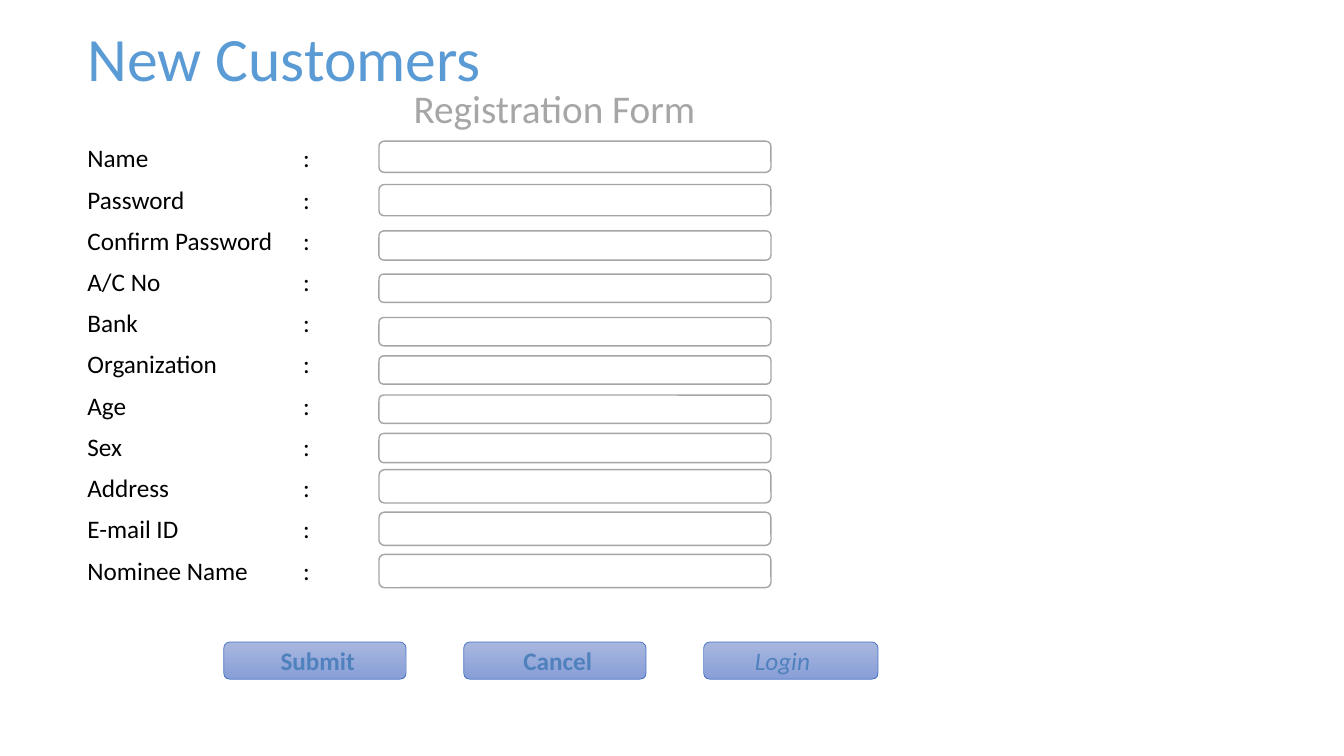
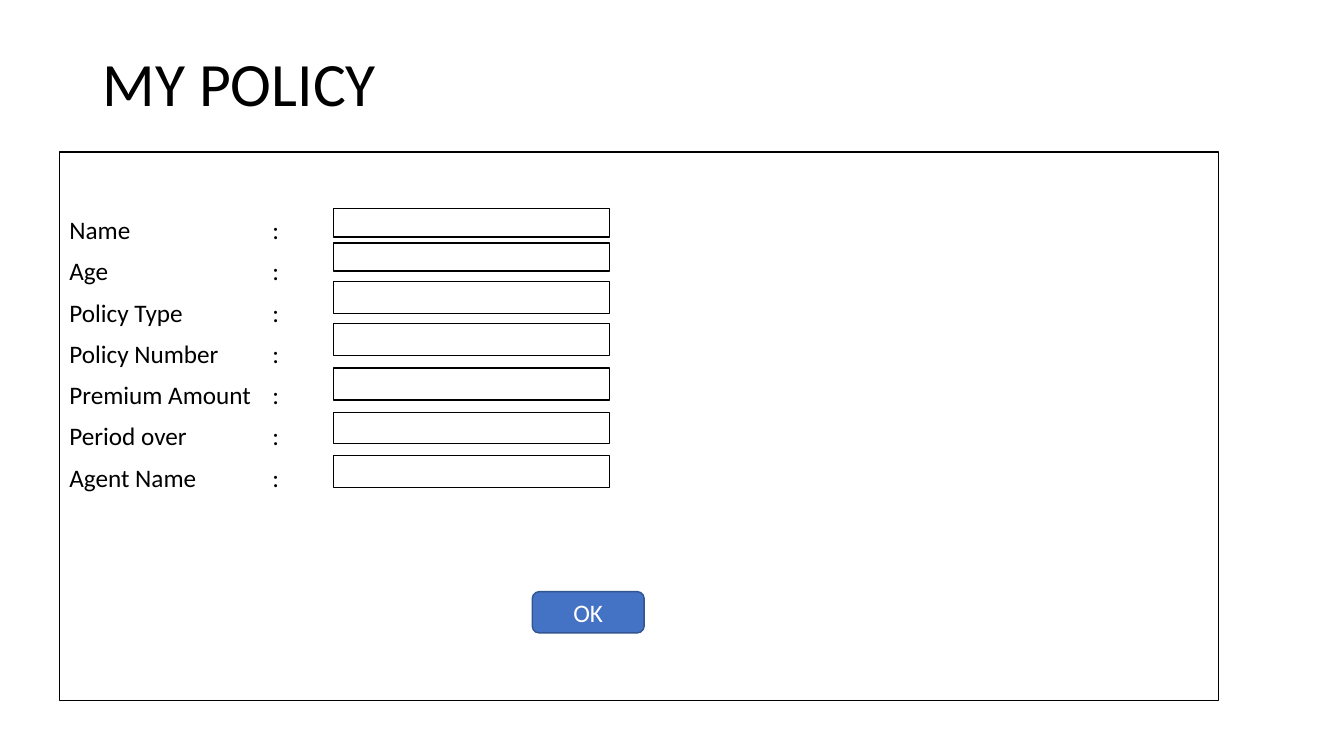
from lxml.etree import SubElement
from pptx import Presentation
from pptx.dml.color import RGBColor
from pptx.enum.shapes import MSO_SHAPE
from pptx.enum.text import MSO_ANCHOR, PP_ALIGN
from pptx.oxml.ns import qn
from pptx.util import Pt

COLORS = {
    "white": "FFFFFF", "black": "000000", "title": "5B9BD5", "heading": "A6A6A6",
    "field": "A5A5A5", "button_top": "A8B7DF", "button_bottom": "889ED7",
    "button_text": "4F81BD", "accent": "4472C4", "accent_dark": "325491",
}


def rgb(name):
    """Return the named colour."""
    return RGBColor.from_string(COLORS[name])


class FormDeck:
    """Shared form style and the slide being filled."""

    font_name = "Calibri"

    def __init__(self):
        """Start an empty widescreen presentation."""
        self.deck = Presentation()
        self.deck.slide_width, self.deck.slide_height = Pt(960), Pt(540)

    def add_slide(self):
        """Add a blank slide and make it current."""
        self.slide = self.deck.slides.add_slide(self.deck.slide_layouts[6])

    def style(self, paragraph, size, color, bold=False, italic=False):
        """Set the font of a whole paragraph."""
        font = paragraph.font
        font.name, font.size = self.font_name, Pt(size)
        font.bold, font.italic = bold, italic
        font.color.rgb = rgb(color)

    def text_box(self, left, top, width, height):
        """Add a wrapping text box and return its text frame."""
        frame = self.slide.shapes.add_textbox(
            Pt(left), Pt(top), Pt(width), Pt(height)).text_frame
        frame.word_wrap = True
        return frame

    def title(self, text, left, top, width, height, color):
        """Add the slide title."""
        frame = self.text_box(left, top, width, height)
        frame.vertical_anchor = MSO_ANCHOR.MIDDLE
        paragraph = frame.paragraphs[0]
        paragraph.text, paragraph.line_spacing = text, 0.9
        self.style(paragraph, 44, color)

    def box(self, left, top, width, height, line, fill="white", weight=1,
            kind=MSO_SHAPE.RECTANGLE):
        """Add a filled, outlined shape without a shadow."""
        shape = self.slide.shapes.add_shape(
            kind, Pt(left), Pt(top), Pt(width), Pt(height))
        shape.shadow.inherit = False
        shape.fill.solid()
        shape.fill.fore_color.rgb = rgb(fill)
        shape.line.color.rgb = rgb(line)
        shape.line.width = Pt(weight)
        return shape

    def heading(self, frame, text, indent):
        """Write an indented heading in the first paragraph."""
        paragraph = frame.paragraphs[0]
        paragraph.text, paragraph.line_spacing = text, 0.9
        paragraph._p.get_or_add_pPr().set("marL", str(Pt(indent)))
        self.style(paragraph, 28, "heading")

    def labels(self, frame, names, colon_at):
        """Write one label per line, colons lined up on a tab stop."""
        for name in names:
            first = frame.paragraphs[0]
            paragraph = frame.add_paragraph() if first.text else first
            paragraph.text = f"{name}\t:"
            paragraph.alignment = PP_ALIGN.LEFT
            paragraph.line_spacing, paragraph.space_before = 0.9, Pt(10)
            tabs = SubElement(paragraph._p.get_or_add_pPr(), qn("a:tabLst"))
            SubElement(tabs, qn("a:tab"), pos=str(Pt(colon_at)), algn="l")
            self.style(paragraph, 18, "black")

    def fields(self, rows, left, width, line, kind):
        """Add the entry fields, each given by its top and height."""
        for top, height in rows:
            self.box(left, top, width, height, line, kind=kind)

    def button(self, text, left, top, width, height, line="accent",
               fill="accent", color="button_text", weight=0.5, shift=0,
               gradient=False, bold=False, italic=False):
        """Add a rounded button; shift moves its caption sideways."""
        shape = self.box(left, top, width, height, line, fill, weight,
                         MSO_SHAPE.ROUNDED_RECTANGLE)
        if gradient:
            shape.fill.gradient()
            shape.fill.gradient_angle = 270
            for stop, name in zip(shape.fill.gradient_stops,
                                  ("button_top", "button_bottom")):
                stop.color.rgb = rgb(name)
        frame = shape.text_frame
        frame.margin_left, frame.margin_right = Pt(7.2 + shift), Pt(7.2 - shift)
        frame.vertical_anchor = MSO_ANCHOR.MIDDLE
        paragraph = frame.paragraphs[0]
        paragraph.text, paragraph.alignment = text, PP_ALIGN.CENTER
        self.style(paragraph, 18, color, bold, italic)


def registration(form):
    """Build the registration form for new customers."""
    rows = {
        "Name": (100.8, 22.3), "Password": (131.8, 22.3),
        "Confirm Password": (164.9, 20.9), "A/C No": (195.8, 20.2),
        "Bank": (226.8, 20.2), "Organization": (254.2, 20.2),
        "Age": (282.2, 20.2), "Sex": (309.6, 20.9), "Address": (335.5, 23.8),
        "E-mail ID": (365.8, 23.8), "Nominee Name": (396, 23.8),
    }
    form.add_slide()
    form.title("New Customers", 55.4, 13, 322.6, 62.6, "title")
    body = form.text_box(55.4, 60.5, 828, 395.3)
    form.heading(body, "Registration Form", 233)
    form.labels(body, rows, 154)
    form.fields(rows.values(), 270.7, 280, "field", MSO_SHAPE.ROUNDED_RECTANGLE)
    for caption, left, width, shift, bold in (
            ("Submit", 159.8, 130.3, 4, True),
            ("Cancel", 331.2, 130.3, 4, True),
            ("Login", 502.6, 124.6, -12, False)):
        form.button(caption, left, 458.6, width, 26.6, shift=shift / 2,
                    gradient=True, bold=bold, italic=not bold)


def policy(form):
    """Build the policy details form."""
    rows = {
        "Name": (149, 20.2), "Age": (173.5, 20.2), "Policy Type": (200.9, 23),
        "Policy Number": (231.1, 23), "Premium Amount": (262.8, 23),
        "Period over": (294.5, 22.3), "Agent Name": (325.4, 23),
    }
    form.add_slide()
    form.title("MY POLICY", 66.2, 28.8, 828, 65.5, "black")
    body = form.box(42.5, 108.7, 828, 391.7, "black").text_frame
    body.vertical_anchor, body.margin_top = MSO_ANCHOR.TOP, Pt(47)
    form.labels(body, rows, 145)
    form.fields(rows.values(), 238.3, 197.3, "black", MSO_SHAPE.RECTANGLE)
    form.button("OK", 380.2, 422.6, 79.9, 29.5, line="accent_dark",
                color="white", weight=1)


form = FormDeck()
registration(form)
policy(form)
form.deck.save("out.pptx")
